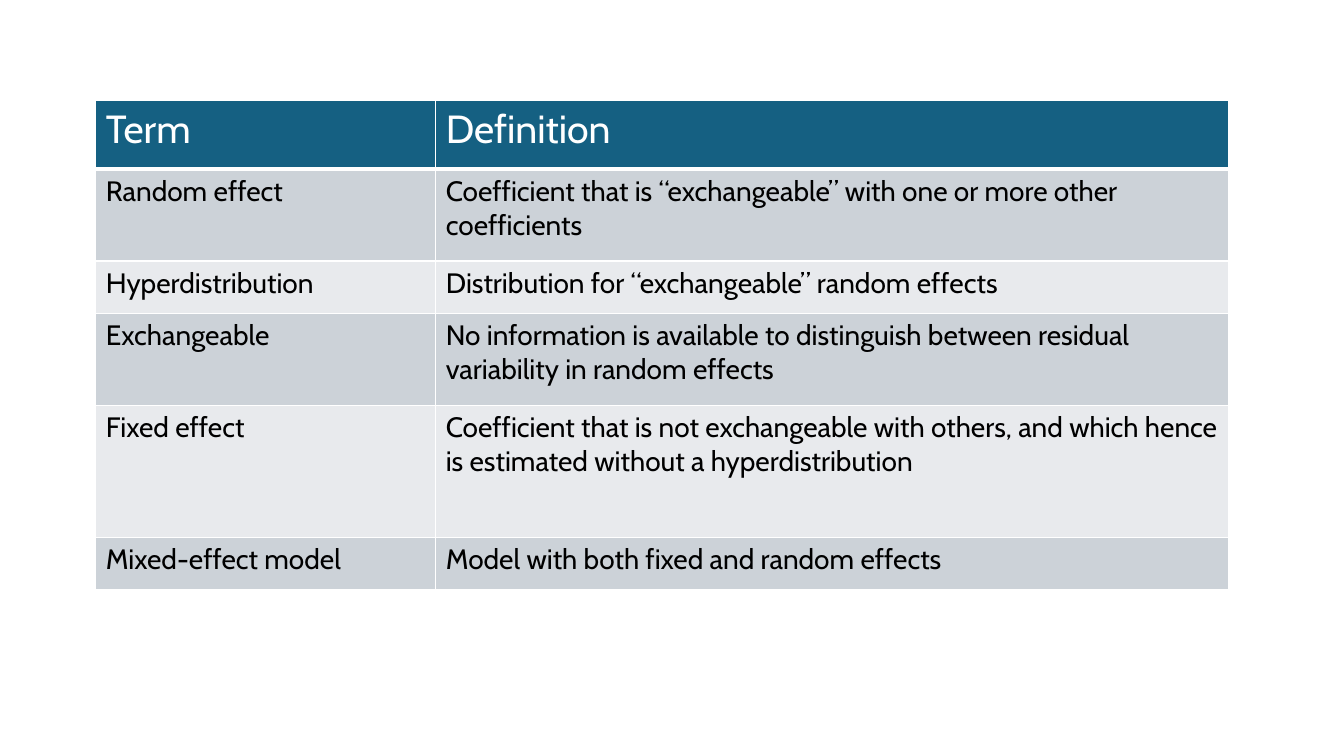
from dataclasses import dataclass

from lxml import etree
from pptx import Presentation
from pptx.dml.color import RGBColor
from pptx.oxml.ns import qn
from pptx.util import Inches, Pt

BLANK_LAYOUT = 6
SLIDE_SIZE = (13.33, 7.5)
TABLE_BOX = (0.95, 1, 11.24, 4.85)
COLUMN_SHARES = (0.3, 0.7)
ROW_HEIGHTS = (0.68, 0.91, 0.52, 0.91, 1.31, 0.52)


@dataclass(frozen=True)
class Theme:
    font: str = "Cabin"
    header_size: int = 28
    body_size: int = 20
    header_text: str = "FFFFFF"
    body_text: str = "000000"
    header_fill: str = "156082"
    band_fills: tuple = ("CCD2D8", "E8EAED")
    border: str = "FFFFFF"
    border_width: float = 1
    header_rule_width: float = 3


THEME = Theme()

GLOSSARY = (
    ("Term", "Definition"),
    ("Random effect",
     "Coefficient that is “exchangeable” with one or more other coefficients"),
    ("Hyperdistribution", "Distribution for “exchangeable” random effects"),
    ("Exchangeable",
     "No information is available to distinguish between residual variability "
     "in random effects"),
    ("Fixed effect",
     "Coefficient that is not exchangeable with others, and which hence is "
     "estimated without a hyperdistribution"),
    ("Mixed-effect model", "Model with both fixed and random effects"),
)


def set_borders(cell, bottom_width):
    properties = cell._tc.get_or_add_tcPr()
    widths = dict.fromkeys(("a:lnL", "a:lnR", "a:lnT"), THEME.border_width)
    widths["a:lnB"] = bottom_width
    for tag, width in widths.items():
        line = etree.SubElement(properties, qn(tag), w=str(Pt(width)))
        fill = etree.SubElement(line, qn("a:solidFill"))
        etree.SubElement(fill, qn("a:srgbClr"), val=THEME.border)


def fill_cell(cell, text, row_index):
    is_header = row_index == 0
    set_borders(cell, THEME.header_rule_width if is_header else THEME.border_width)
    fill_color = THEME.header_fill if is_header else THEME.band_fills[(row_index - 1) % 2]
    cell.fill.solid()
    cell.fill.fore_color.rgb = RGBColor.from_string(fill_color)

    run = cell.text_frame.paragraphs[0].add_run()
    run.text = text
    font_format = {
        "name": THEME.font,
        "size": Pt(THEME.header_size if is_header else THEME.body_size),
        "bold": False,
    }
    for attribute, value in font_format.items():
        setattr(run.font, attribute, value)
    text_color = THEME.header_text if is_header else THEME.body_text
    run.font.color.rgb = RGBColor.from_string(text_color)


def add_glossary_table(slide, box):
    left, top, width, height = box
    frame = slide.shapes.add_table(
        len(GLOSSARY), len(COLUMN_SHARES), *(Inches(length) for length in box))
    table = frame.table
    for column, share in zip(table.columns, COLUMN_SHARES):
        column.width = Inches(width * share)
    for row, row_height in zip(table.rows, ROW_HEIGHTS):
        row.height = Inches(height * row_height / sum(ROW_HEIGHTS))
    for row_index, entry in enumerate(GLOSSARY):
        for column_index, text in enumerate(entry):
            fill_cell(table.cell(row_index, column_index), text, row_index)


def main():
    presentation = Presentation()
    presentation.slide_width, presentation.slide_height = map(Inches, SLIDE_SIZE)
    slide = presentation.slides.add_slide(presentation.slide_layouts[BLANK_LAYOUT])
    add_glossary_table(slide, TABLE_BOX)
    presentation.save("out.pptx")


if __name__ == "__main__":
    main()
